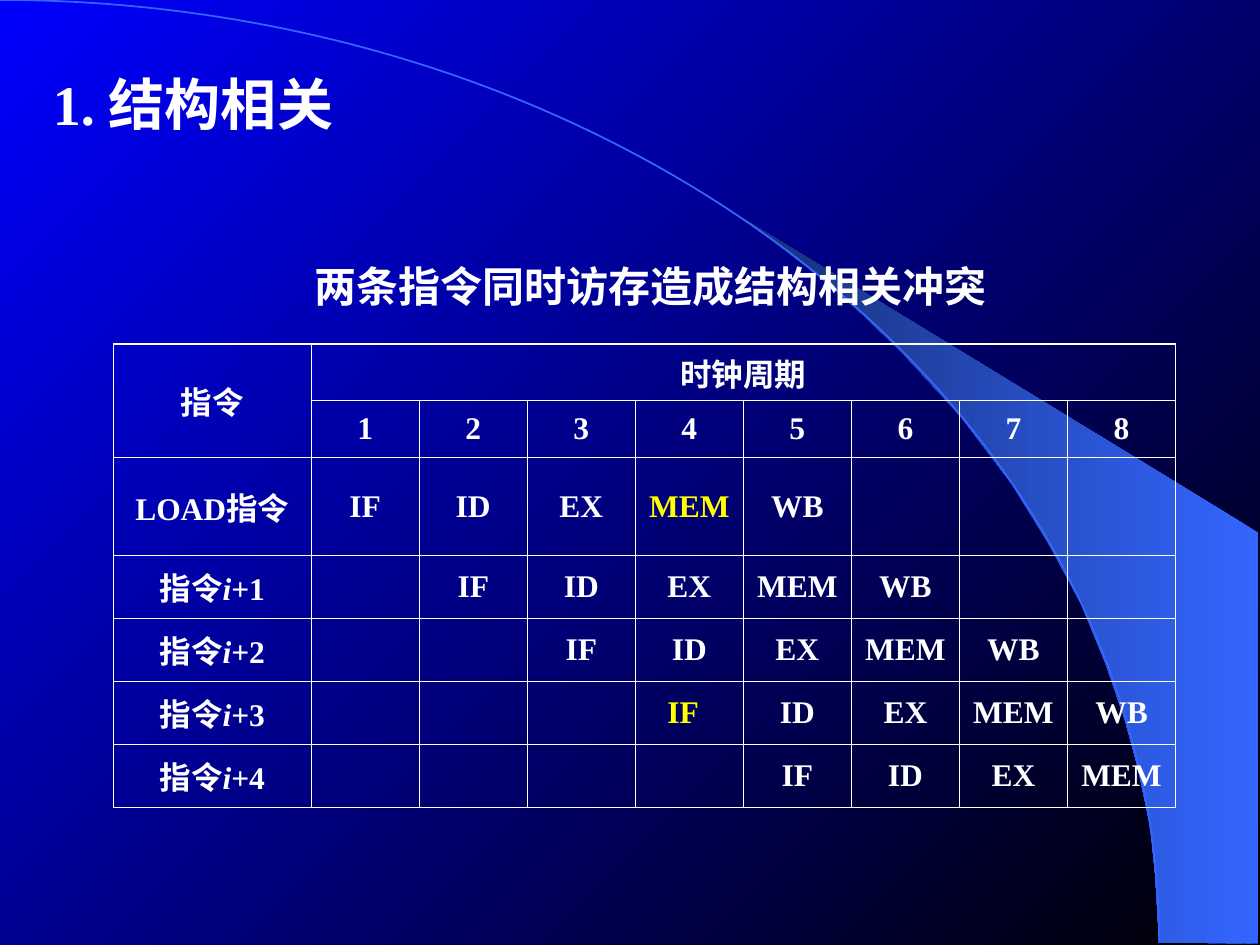
from lxml import etree
from pptx import Presentation
from pptx.dml.color import RGBColor
from pptx.enum.shapes import MSO_SHAPE
from pptx.enum.text import MSO_ANCHOR, MSO_AUTO_SIZE, PP_ALIGN
from pptx.oxml.ns import qn
from pptx.util import Inches, Pt

LEFT, CENTER = PP_ALIGN.LEFT, PP_ALIGN.CENTER
MIDDLE, TOP = MSO_ANCHOR.MIDDLE, MSO_ANCHOR.TOP
NO_AUTOFIT = MSO_AUTO_SIZE.NONE
ARC = MSO_SHAPE.ARC

WHITE = RGBColor(0xFF, 0xFF, 0xFF)
YELLOW = RGBColor(0xFF, 0xFF, 0x00)
BLACK = RGBColor(0x00, 0x00, 0x00)
BLUE = RGBColor(0x00, 0x00, 0xFF)
SKY = RGBColor(0x33, 0x66, 0xFF)
NAVY = RGBColor(0x17, 0x2F, 0x75)

STAGES = ["IF", "ID", "EX", "MEM", "WB"]
CYCLES = 8
INSTRUCTIONS = ["LOAD指令"] + [f"指令*i*+{number}" for number in range(1, 5)]
CONFLICTS = [(2, 4), (5, 4)]
ROW_HEIGHTS = [0.45, 0.45, 0.78, 0.5, 0.5, 0.5, 0.5]
WEDGE = [
    (9.2, 7.48), (9.99, 7.49), (9.99, 4.23), (5.89, 1.73), (6.24, 1.99), (6.53, 2.22),
    (6.85, 2.5), (7.16, 2.8), (7.62, 3.3), (8.03, 3.84), (8.32, 4.31), (8.58, 4.79),
    (8.78, 5.28), (8.93, 5.72), (9.03, 6.09), (9.13, 6.56), (9.17, 6.96),
]


def write(text_frame, text, size=18, color=WHITE, align=CENTER, font="Times New Roman"):
    """Write one bold paragraph, with the parts between asterisks in italics."""
    paragraph = text_frame.paragraphs[0]
    paragraph.alignment = align
    for index, part in enumerate(text.split("*")):
        run = paragraph.add_run()
        run.text = part
        run.font.name = font
        run.font.size = Pt(size)
        run.font.bold = True
        run.font.italic = index % 2 == 1
        run.font.color.rgb = color


def blend(fill, start, end, angle):
    """Give a fill a two-colour linear gradient."""
    fill.gradient()
    fill.gradient_angle = angle
    for stop, color, position in zip(fill.gradient_stops, (start, end), (0, 1)):
        stop.color.rgb = color
        stop.position = position


class SlideBuilder:
    """Holds the line style and the current slide."""

    inner_width, outer_width = 0.75, 1.08

    def __init__(self, presentation):
        """Add a title-only slide with the gradient background."""
        self.slide = presentation.slides.add_slide(presentation.slide_layouts[5])
        blend(self.slide.background.fill, BLACK, BLUE, 135)

    def wedge(self, points):
        """Draw the shaded beam beside the arc."""
        corners = [(Inches(x), Inches(y)) for x, y in points]
        builder = self.slide.shapes.build_freeform(*corners[0])
        builder.add_line_segments(corners[1:], close=True)
        shape = builder.convert_to_shape()
        shape.shadow.inherit = False
        blend(shape.fill, SKY, NAVY, 180)
        shape.line.fill.background()

    def arc(self, left, top, width, height):
        """Draw the thin quarter ellipse."""
        shape = self.slide.shapes.add_shape(
            ARC, Inches(left), Inches(top), Inches(width), Inches(height))
        shape.shadow.inherit = False
        shape.fill.background()
        shape.line.color.rgb = SKY
        shape.line.width = Pt(1)

    def title(self, text, left, top, width, height):
        """Fill and place the title placeholder."""
        shape = self.slide.shapes.title
        shape.left, shape.top = Inches(left), Inches(top)
        shape.width, shape.height = Inches(width), Inches(height)
        frame = shape.text_frame
        frame.margin_left = frame.margin_right = 0
        frame.auto_size = NO_AUTOFIT
        frame.vertical_anchor = MIDDLE
        write(frame, text, size=32, align=LEFT)

    def caption(self, text, left, top, width, height):
        """Add the heading above the table."""
        box = self.slide.shapes.add_textbox(
            Inches(left), Inches(top), Inches(width), Inches(height))
        box.text_frame.word_wrap = True
        box.text_frame.vertical_anchor = TOP
        write(box.text_frame, text, size=24, align=LEFT)

    def border(self, cell, edges):
        """Draw the four borders of a cell, heavier on the outer edges."""
        properties = cell._tc.get_or_add_tcPr()
        for index, side in enumerate("LRTB"):
            width = self.outer_width if side in edges else self.inner_width
            line = etree.Element(qn(f"a:ln{side}"), w=str(Pt(width)))
            solid = etree.SubElement(line, qn("a:solidFill"))
            etree.SubElement(solid, qn("a:srgbClr"), val=str(WHITE))
            properties.insert(index, line)

    def pipeline(self, left, top, label_width, cycles_width):
        """Add the table of instruction stages by clock cycle."""
        rows, columns = len(ROW_HEIGHTS), CYCLES + 1
        table = self.slide.shapes.add_table(
            rows, columns, Inches(left), Inches(top),
            Inches(label_width + cycles_width), Inches(sum(ROW_HEIGHTS))).table
        table.first_row = table.horz_banding = False
        for column in range(columns):
            width = cycles_width / CYCLES if column else label_width
            table.columns[column].width = Inches(width)
        for row, height in enumerate(ROW_HEIGHTS):
            table.rows[row].height = Inches(height)
            for column in range(columns):
                cell = table.cell(row, column)
                cell.fill.background()
                cell.vertical_anchor = MIDDLE
                outer = {"L": column == 0, "R": column == CYCLES,
                         "T": row == 0, "B": row == rows - 1}
                self.border(cell, [side for side in outer if outer[side]])
        table.cell(0, 0).merge(table.cell(1, 0))
        table.cell(0, 1).merge(table.cell(0, CYCLES))
        write(table.cell(0, 0).text_frame, "指令")
        write(table.cell(0, 1).text_frame, "时钟周期")
        for cycle in range(1, columns):
            write(table.cell(1, cycle).text_frame, str(cycle))
        for delay, instruction in enumerate(INSTRUCTIONS):
            row = delay + 2
            write(table.cell(row, 0).text_frame, instruction)
            for cycle, stage in enumerate(STAGES[:CYCLES - delay], start=delay + 1):
                color = YELLOW if (row, cycle) in CONFLICTS else WHITE
                write(table.cell(row, cycle).text_frame, stage, color=color)
        table.cell(*CONFLICTS[1]).margin_right = Inches(0.2)


def main():
    """Build the structural hazard slide."""
    presentation = Presentation()
    presentation.slide_width, presentation.slide_height = Inches(10), Inches(7.5)
    builder = SlideBuilder(presentation)
    builder.wedge(WEDGE)
    builder.arc(-9.2, 0, 18.4, 14.97)
    builder.title("1. 结构相关", 0.42, 0.4, 7.97, 0.83)
    builder.caption("两条指令同时访存造成结构相关冲突", 2.4, 2.02, 7.09, 0.5)
    builder.pipeline(0.9, 2.73, 1.57, 6.86)
    presentation.save("out.pptx")


if __name__ == "__main__":
    main()
